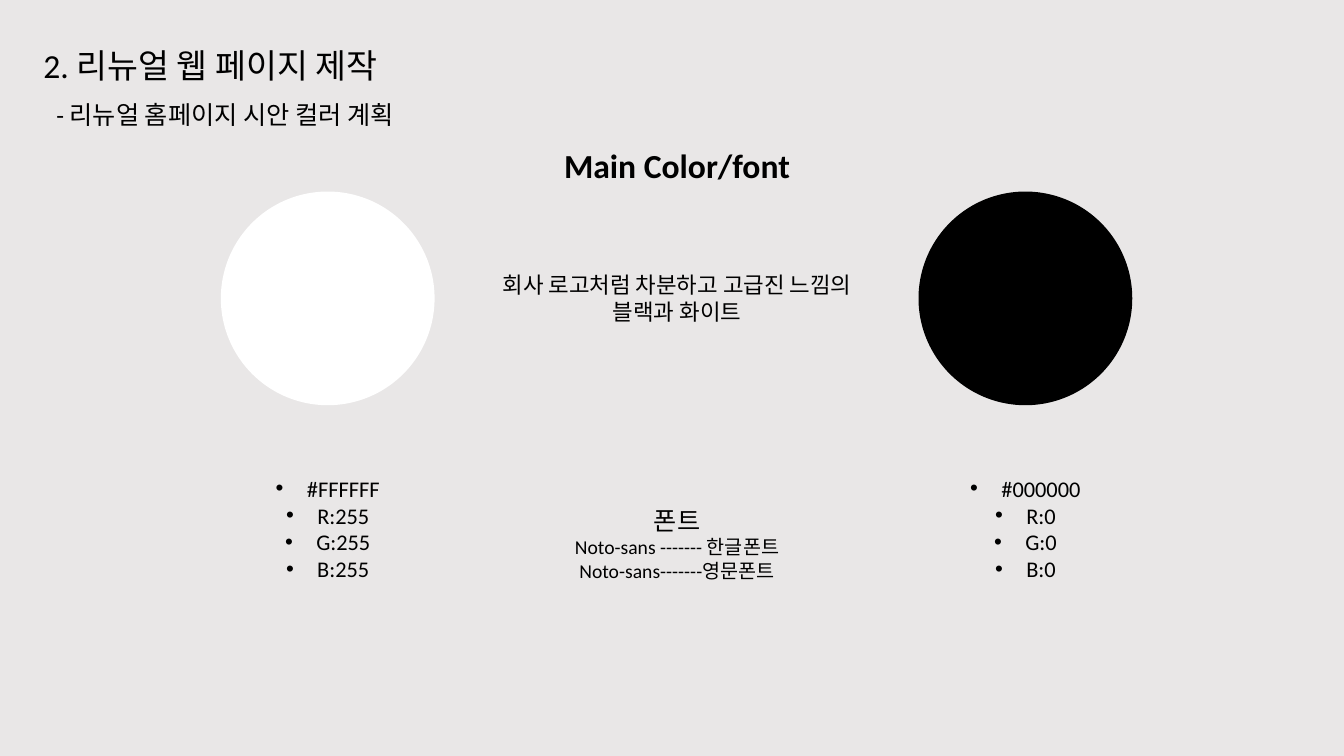
from pptx import Presentation
from pptx.dml.color import RGBColor
from pptx.enum.shapes import MSO_SHAPE
from pptx.enum.text import MSO_ANCHOR, MSO_AUTO_SIZE, PP_ALIGN
from pptx.oxml.ns import qn
from pptx.util import Inches, Pt
from lxml import etree

BACKGROUND = RGBColor(0xE9, 0xE7, 0xE7)
WHITE = RGBColor(0xFF, 0xFF, 0xFF)
BLACK = RGBColor(0x00, 0x00, 0x00)

FRAME_FORMAT = {
    "auto_size": MSO_AUTO_SIZE.SHAPE_TO_FIT_TEXT,
    "vertical_anchor": MSO_ANCHOR.TOP,
}
PARAGRAPH_FORMAT = {"space_before": Pt(0), "space_after": Pt(0), "line_spacing": 1.0}

CIRCLE_TOP, LIST_TOP = 1.9, 4.66
CIRCLE_SIZE = 2.12
LIST_HEIGHT = 1.18
LIST_INDENT = Inches(0.31)


def apply_format(target, values):
    for name, value in values.items():
        setattr(target, name, value)


def place(element, left, top, width, height):
    apply_format(element, {"left": Inches(left), "top": Inches(top),
                           "width": Inches(width), "height": Inches(height)})


def add_bullet(paragraph):
    properties = paragraph._p.get_or_add_pPr()
    properties.set("marL", str(LIST_INDENT))
    properties.set("indent", str(-LIST_INDENT))
    etree.SubElement(properties, qn("a:buFont")).set("typeface", "Arial")
    etree.SubElement(properties, qn("a:buChar")).set("char", "•")


def write_lines(frame, lines, align=PP_ALIGN.CENTER, bold=False, bulleted=False, wrap=True):
    """Fill a text frame with (text, size) lines."""
    apply_format(frame, {**FRAME_FORMAT, "word_wrap": wrap})
    for number, (text, size) in enumerate(lines):
        paragraph = frame.add_paragraph() if number else frame.paragraphs[0]
        apply_format(paragraph, {**PARAGRAPH_FORMAT, "alignment": align})
        if bulleted:
            add_bullet(paragraph)
        run = paragraph.add_run()
        run.text = text
        apply_format(run.font, {"name": "Calibri", "size": Pt(size), "bold": bold})
        run.font.color.rgb = BLACK


def add_text(slide, position, lines, **options):
    box = slide.shapes.add_textbox(*map(Inches, position))
    write_lines(box.text_frame, lines, **options)


def add_swatch(slide, color_list, left, color):
    """Draw a colour circle and list its hex and RGB values below."""
    circle = slide.shapes.add_shape(
        MSO_SHAPE.OVAL, Inches(left), Inches(CIRCLE_TOP),
        Inches(CIRCLE_SIZE), Inches(CIRCLE_SIZE))
    circle.shadow.inherit = False
    circle.fill.solid()
    circle.fill.fore_color.rgb = color
    circle.line.fill.background()

    values = [f"#{color}"] + [f"{channel}:{level}" for channel, level in zip("RGB", color)]
    place(color_list, left, LIST_TOP, CIRCLE_SIZE, LIST_HEIGHT)
    write_lines(color_list.text_frame, [(value, 16) for value in values], bulleted=True)


def main():
    presentation = Presentation()
    apply_format(presentation, {"slide_width": Inches(13.33), "slide_height": Inches(7.5)})
    slide = presentation.slides.add_slide(presentation.slide_layouts[3])
    slide.background.fill.solid()
    slide.background.fill.fore_color.rgb = BACKGROUND
    title, white_list, black_list = slide.placeholders

    # Heading
    place(title, 0.33, 0.4, 4.29, 0.5)
    write_lines(title.text_frame, [("2. 리뉴얼 웹 페이지 제작", 24)], align=PP_ALIGN.LEFT)
    add_text(slide, (0.46, 0.94, 3.85, 0.4), [("- 리뉴얼 홈페이지 시안 컬러 계획", 18)],
             align=PP_ALIGN.LEFT, wrap=False)

    # Main colours
    add_swatch(slide, white_list, 2.19, WHITE)
    add_swatch(slide, black_list, 9.11, BLACK)

    # Colour and font notes between the swatches
    add_text(slide, (5.2, 1.39, 3.03, 0.5), [("Main Color/font", 24)], bold=True)
    add_text(slide, (4.47, 2.64, 4.49, 0.64),
             [("회사 로고처럼 차분하고 고급진 느낌의", 16), ("블랙과 화이트", 16)])
    add_text(slide, (4.47, 4.96, 4.49, 0.88),
             [("폰트", 18), ("Noto-sans ------- 한글폰트", 14),
              ("Noto-sans-------영문폰트", 14)])

    presentation.save("out.pptx")


if __name__ == "__main__":
    main()
